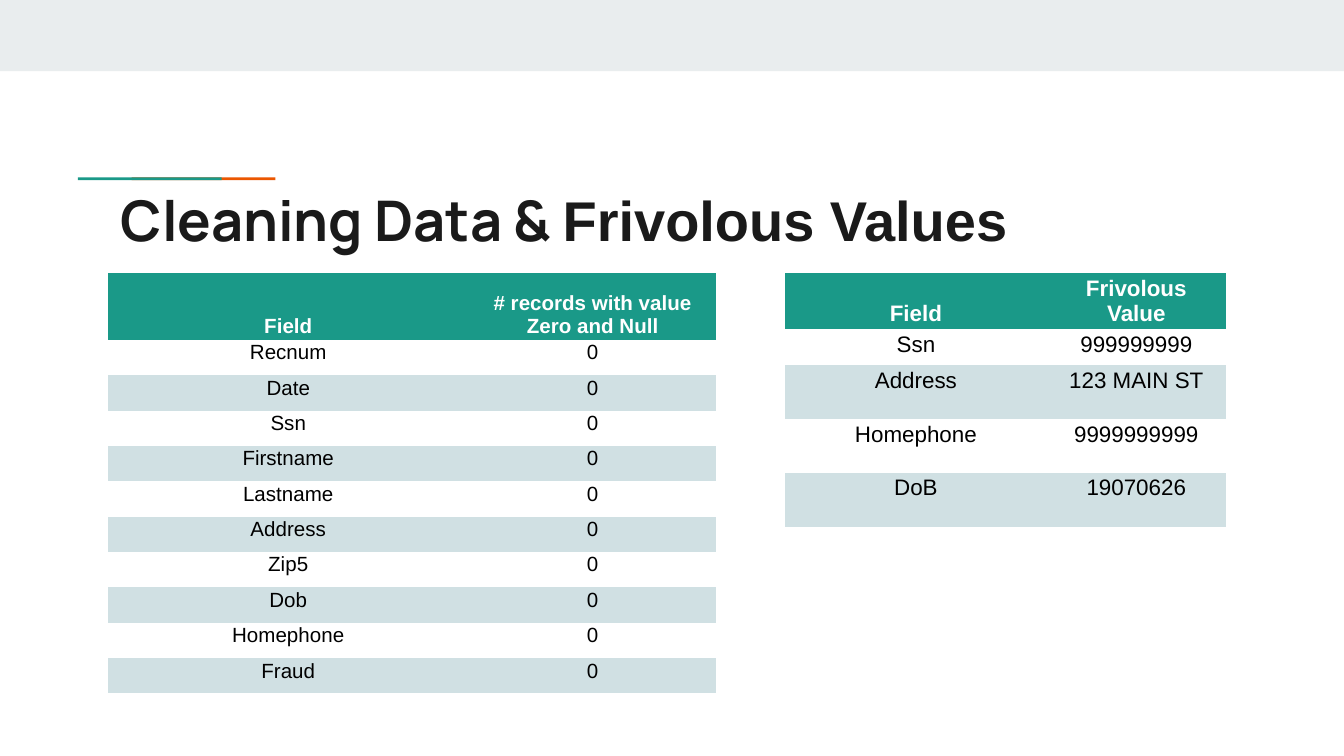
from dataclasses import dataclass

from pptx import Presentation
from pptx.dml.color import RGBColor
from pptx.enum.shapes import MSO_SHAPE
from pptx.enum.text import MSO_ANCHOR, MSO_AUTO_SIZE, PP_ALIGN
from pptx.oxml.ns import qn
from pptx.util import Inches, Pt

RECTANGLE = MSO_SHAPE.RECTANGLE
TOP, BOTTOM = MSO_ANCHOR.TOP, MSO_ANCHOR.BOTTOM
LEFT, CENTER = PP_ALIGN.LEFT, PP_ALIGN.CENTER
NO_AUTOFIT = MSO_AUTO_SIZE.NONE
PLAIN_TABLE_STYLE = "{2D5ABB26-0587-4C30-8999-92F81FD0307C}"
TITLE_ONLY = 5

WIDTH = 10
HEIGHT = WIDTH * 9 / 16
MARGIN = 0.8
TABLE_TOP = 2.03
COUNT_BODY_HEIGHT = 2.63


@dataclass(frozen=True)
class Theme:
    heading_font: str = "Manrope"
    body_font: str = "Arial"
    title_size: int = 30
    count_size: int = 11
    value_size: int = 12
    ink: str = "1A1A1A"
    black: str = "000000"
    white: str = "FFFFFF"
    band: str = "E9EDEE"
    green: str = "1A9988"
    orange: str = "EB5600"
    stripe: str = "D0E0E3"


THEME = Theme()

COUNTED_FIELDS = ["Recnum", "Date", "Ssn", "Firstname", "Lastname",
                  "Address", "Zip5", "Dob", "Homephone", "Fraud"]
COUNT_ROWS = [("Field", "# records with value Zero and Null")]
COUNT_ROWS += [(field, "0") for field in COUNTED_FIELDS]
VALUE_ROWS = [
    ("Field", "Frivolous Value"),
    ("Ssn", "999999999"),
    ("Address", "123 MAIN ST"),
    ("Homephone", "9999999999"),
    ("DoB", "19070626"),
]


def style_run(span, font, size, color, bold):
    span.font.name = font
    span.font.size = Pt(size)
    span.font.bold = bold
    span.font.color.rgb = RGBColor.from_string(color)


def add_bar(page, left, top, width, height, color):
    bar = page.shapes.add_shape(
        RECTANGLE, Inches(left), Inches(top), Inches(width), Inches(height))
    bar.shadow.inherit = False
    bar.fill.solid()
    bar.fill.fore_color.rgb = RGBColor.from_string(color)
    bar.line.fill.background()


def set_title(page, parts):
    """Fill the title from (text, font) pairs."""
    title = page.shapes.title
    title.left, title.top = Inches(MARGIN), Inches(1.28)
    title.width, title.height = Inches(WIDTH - 2 * MARGIN), Inches(0.59)
    frame = title.text_frame
    frame.auto_size = NO_AUTOFIT
    frame.word_wrap = True
    frame.vertical_anchor = TOP
    frame.margin_left = frame.margin_right = Inches(0.1)
    frame.margin_top = frame.margin_bottom = Inches(0.1)
    para = frame.paragraphs[0]
    para.alignment = LEFT
    for text, font in parts:
        span = para.add_run()
        span.text = text
        style_run(span, font, THEME.title_size, THEME.ink, True)


def fill_cell(cell, text, size, row, body_margins):
    """Write one cell; row 0 is the header and even body rows are striped."""
    header = row == 0
    cell.text = text
    cell.vertical_anchor = BOTTOM if header else TOP
    cell.margin_left = cell.margin_right = Inches(0.07)
    top, bottom = (0.02, 0.02) if header else body_margins
    cell.margin_top, cell.margin_bottom = Inches(top), Inches(bottom)
    if row % 2:
        cell.fill.background()
    else:
        cell.fill.solid()
        cell.fill.fore_color.rgb = RGBColor.from_string(
            THEME.green if header else THEME.stripe)
    para = cell.text_frame.paragraphs[0]
    para.alignment = CENTER
    style_run(para.runs[0], THEME.body_font, size,
              THEME.white if header else THEME.black, header)


def add_striped_table(page, left, columns, heights, rows, size, body_margins):
    frame = page.shapes.add_table(
        len(rows), len(columns), Inches(left), Inches(TABLE_TOP),
        Inches(sum(columns)), Inches(sum(heights)))
    frame._element.find(".//" + qn("a:tableStyleId")).text = PLAIN_TABLE_STYLE
    table = frame.table
    for column, width in zip(table.columns, columns):
        column.width = Inches(width)
    for row, (height, texts) in enumerate(zip(heights, rows)):
        table.rows[row].height = Inches(height)
        for column, text in enumerate(texts):
            fill_cell(table.cell(row, column), text, size, row, body_margins)


def main():
    deck = Presentation()
    deck.slide_width, deck.slide_height = Inches(WIDTH), Inches(HEIGHT)
    page = deck.slides.add_slide(deck.slide_layouts[TITLE_ONLY])

    add_bar(page, 0, 0, WIDTH, 0.53, THEME.band)
    for left, color in ((0.98, THEME.orange), (0.58, THEME.green)):
        add_bar(page, left, 1.32, 1.07, 0.02, color)

    set_title(page, [("Cleaning Data & ", THEME.heading_font),
                     ("Frivolous Values", THEME.body_font)])
    field_count = len(COUNTED_FIELDS)
    add_striped_table(page, MARGIN, [2.69, 1.84],
                      [0.5] + [COUNT_BODY_HEIGHT / field_count] * field_count,
                      COUNT_ROWS, THEME.count_size, (0.01, 0.01))
    add_striped_table(page, 5.84, [1.95, 1.33], [0.42, 0.27] + [0.4] * 3,
                      VALUE_ROWS, THEME.value_size, (0.02, 0))

    deck.save("out.pptx")


if __name__ == "__main__":
    main()
